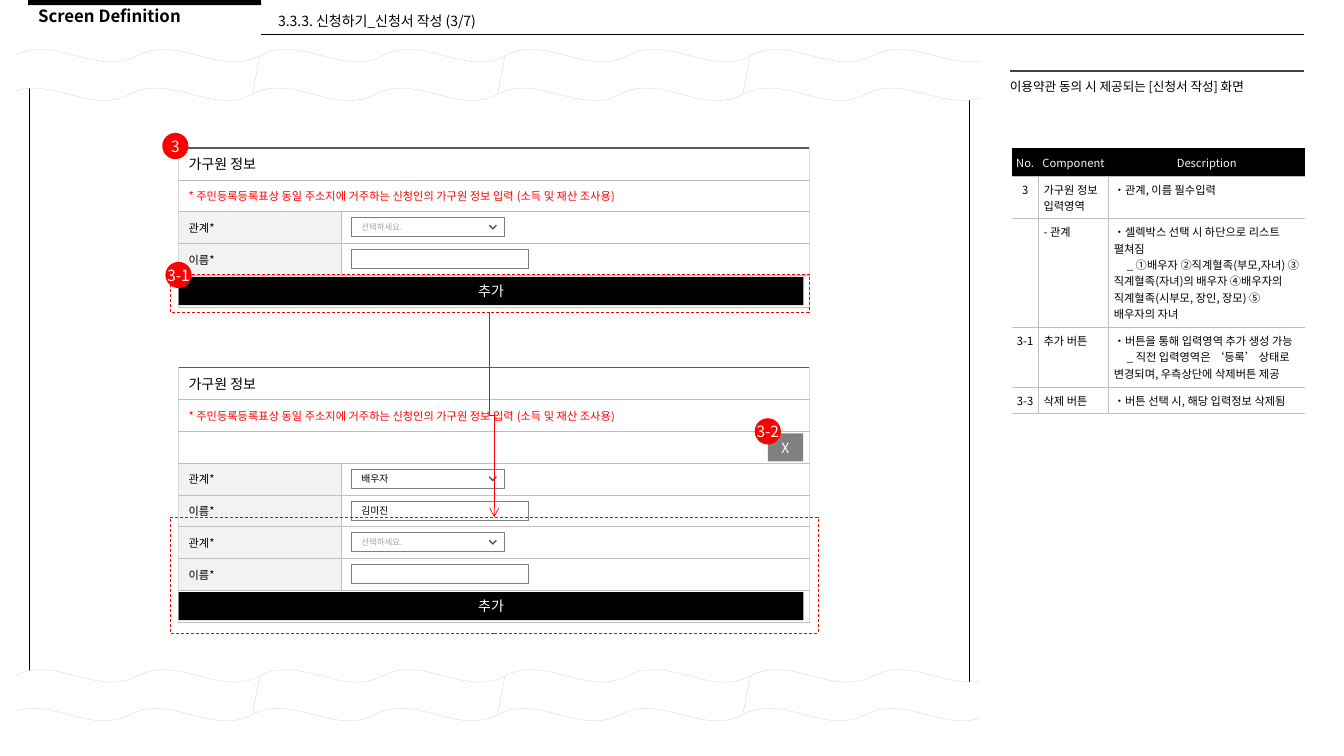
from lxml import etree
from pptx import Presentation
from pptx.dml.color import RGBColor
from pptx.enum.dml import MSO_LINE
from pptx.enum.shapes import MSO_CONNECTOR, MSO_SHAPE
from pptx.enum.text import MSO_ANCHOR, PP_ALIGN
from pptx.oxml.ns import qn
from pptx.util import Cm, Pt

RECT, OVAL, WAVE = MSO_SHAPE.RECTANGLE, MSO_SHAPE.OVAL, MSO_SHAPE.DOUBLE_WAVE
LEFT, MID = PP_ALIGN.LEFT, PP_ALIGN.CENTER
TOP, MIDDLE = MSO_ANCHOR.TOP, MSO_ANCHOR.MIDDLE
LINE, ELBOW = MSO_CONNECTOR.STRAIGHT, MSO_CONNECTOR.ELBOW
DASH = MSO_LINE.DASH
FONT = "Noto Sans CJK KR"
HUES = {"black": "000000", "white": "FFFFFF", "red": "FF0000", "dark": "404040",
        "slate": "595959", "gray": "808080", "hint": "A6A6A6", "rule": "BFBFBF",
        "pale": "D9D9D9", "label": "F2F2F2"}
RGB = {name: RGBColor.from_string(code) for name, code in HUES.items()}


def write(para, text, size, hue="black", align=LEFT, bold=False):
    para.text, para.alignment = text, align
    font = para.font
    font.size, font.bold, font.name = Pt(size), bold, FONT
    font.color.rgb = RGB[hue]
    etree.SubElement(font._element, qn("a:ea"), typeface=FONT)


def dress(cell, fill, edges):
    """Edges are (hue, points) for left, right, top and bottom."""
    props = cell._tc.get_or_add_tcPr()
    for side, (hue, width) in zip("LRTB", edges):
        line = etree.SubElement(props, qn("a:ln" + side), w=str(Pt(width)))
        if hue:
            paint = etree.SubElement(line, qn("a:solidFill"))
            etree.SubElement(paint, qn("a:srgbClr"), val=HUES[hue])
        else:
            etree.SubElement(line, qn("a:noFill"))
    if fill:
        cell.fill.solid()
        cell.fill.fore_color.rgb = RGB[fill]
    else:
        cell.fill.background()


deck = Presentation()
deck.slide_width, deck.slide_height = Cm(33.87), Cm(19.05)
slide = deck.slides.add_slide(deck.slide_layouts[6])
shapes = slide.shapes

# Header and note text
heads = [
    (0.71, 0.08, 5.87, 0.81, "Screen Definition", 12, True),
    (6.76, 0.23, 17.68, 0.66, "3.3.3. 신청하기_신청서 작성 (3/7)", 10, False),
    (25.45, 1.9, 7.39, 1.04, "이용약관 동의 시 제공되는 [신청서 작성] 화면", 9, False),
]
for x, y, w, h, text, size, bold in heads:
    frame = shapes.add_textbox(Cm(x), Cm(y), Cm(w), Cm(h)).text_frame
    frame.word_wrap = True
    if size == 9:
        frame.margin_left = frame.margin_right = 0
    write(frame.paragraphs[0], text, size, bold=bold)
    frame.paragraphs[0].line_spacing = 0.9

# Form tables: a two-column row has a label, a wide row has text or nothing
ROW, FORM_X, FIELD_X = 0.8, 4.5, 8.86
TITLE = "가구원 정보"
HINT = "* 주민등록등록표상 동일 주소지에 거주하는 신청인의 가구원 정보 입력 (소득 및 재산 조사용)"
KIN, NAME, PICK = "관계*", "이름*", "선택하세요."
forms = [
    (3.73, [TITLE, HINT, KIN, NAME, ""], {2: PICK, 3: ""}),
    (9.27, [TITLE, HINT, "", KIN, NAME, KIN, NAME, ""],
     {3: "배우자", 4: "김미진", 5: PICK, 6: ""}),
]
parts, arrows = [], []
for top, rows, fields in forms:
    grid = shapes.add_table(len(rows), 2, Cm(FORM_X), Cm(top), Cm(15.9),
                            Cm(ROW * len(rows))).table
    grid.columns[0].width, grid.columns[1].width = Cm(4.09), Cm(11.81)
    for r, text in enumerate(rows):
        paired = text in (KIN, NAME)
        upper = ("slate", 1) if r == 0 else ("rule", 0.25)
        inner = ("rule", 0.25)
        for c in range(2):
            cell = grid.cell(r, c)
            cell.vertical_anchor = MIDDLE
            write(cell.text_frame.paragraphs[0], "" if c else text,
                  10 if r == 0 else 8, "red" if r == 1 else "black")
            sides = [("pale", 0.5), inner] if c == 0 else [inner, ("pale", 0.5)]
            if not paired:
                sides = [("pale", 0.5)] * 2
            fill = "white" if not paired else None if c else "label"
            dress(cell, fill, sides + [upper, inner])
        if not paired:
            grid.cell(r, 0).merge(grid.cell(r, 1))
    for r, text in fields.items():
        y, choice = top + ROW * r + 0.15, rows[r] == KIN
        size, hue = (6, "hint") if text == PICK else (7, "black")
        parts.append((RECT, FIELD_X, y, 3.84 if choice else 4.45, 0.48,
                      "white", "gray", 0.25, text, size, hue, LEFT))
        if choice:
            arrows.append((FIELD_X + 3.46, y + 0.18))
    parts.append((RECT, FORM_X, top + ROW * (len(rows) - 1) + 0.05, 15.75, 0.71,
                  "black", None, 0, "추가", 10, "white", MID))

# Description table: the lines after a cell's first one are indented
notes = [
    ("No.", "Component", ["Description"]),
    ("3", "가구원 정보 입력영역", ["•관계, 이름 필수입력"]),
    ("", "- 관계", ["•셀렉박스 선택 시 하단으로 리스트 펼쳐짐",
                  "_ ①배우자 ②직계혈족(부모,자녀) ③직계혈족(자녀)의 배우자 "
                  "④배우자의 직계혈족(시부모, 장인, 장모) ⑤ 배우자의 자녀"]),
    ("3-1", "추가 버튼", ["•버튼을 통해 입력영역 추가 생성 가능",
                      "_ 직전 입력영역은 ‘등록’ 상태로 변경되며, 우측상단에 삭제버튼 제공"]),
    ("3-3", "삭제 버튼", ["•버튼 선택 시, 해당 입력정보 삭제됨"]),
]
grid = shapes.add_table(5, 3, Cm(25.5), Cm(3.73), Cm(7.39), Cm(6.68)).table
for c, width in enumerate([0.67, 1.77, 4.95]):
    grid.columns[c].width = Cm(width)
for r, height in enumerate([0.71, 1.07, 2.74, 1.5, 0.66]):
    grid.rows[r].height = Cm(height)
    for c, text in enumerate(notes[r]):
        cell = grid.cell(r, c)
        cell.vertical_anchor = TOP if r else MIDDLE
        cell.margin_top = cell.margin_bottom = Cm(0.13 if r else 0.1)
        cell.margin_left = cell.margin_right = Cm(0.13 if r and c else 0)
        frame = cell.text_frame
        for n, line in enumerate(text if c == 2 else [text]):
            para = frame.add_paragraph() if n else frame.paragraphs[0]
            write(para, line, 8, "black" if r else "label",
                  LEFT if r and c else MID)
            if n:
                para._p.get_or_add_pPr().set("indent", str(Cm(0.33)))
        wall = ("rule", 0.5) if r else ("black", 1)
        gap = (None, 0)
        dress(cell, "white" if r else "black",
              [wall if c else gap, wall if c < 2 else gap,
               ("rule", 0.5) if r else gap, ("rule", 0.5)])

# Page frame, torn edges and title bar
parts.append((RECT, 0.74, 1.8, 23.7, 15.62, None, "black", 1, "", 8, "black", MID))
for y in (1.24, 16.87):
    for n in range(4):
        parts.append((WAVE, 0.18 + 6.18 * n, y, 6.38, 1.3,
                      "white", "pale", 0.25, "", 8, "black", MID))
    for x in (24.69, 0):
        parts.append((RECT, x, y - 0.14, 0.41, 1.6,
                      "white", None, 0, "", 8, "black", MID))
parts.append((RECT, 0.71, 0, 5.87, 0.13, "black", None, 0, "", 8, "black", MID))

# Delete button, dashed areas and numbered badges
parts.append((RECT, 19.35, 10.92, 0.89, 0.71, "gray", None, 0, "X", 10, "white", MID))
for y, w, h in [(6.91, 16.1, 0.97), (13.03, 16.33, 2.92)]:
    parts.append((RECT, 4.29, y, w, h, None, "red", 0.5, "", 8, "black", MID))
for x, y, text in [(4.09, 3.35, "3"), (4.17, 6.6, "3-1"), (19.02, 10.54, "3-2")]:
    parts.append((OVAL, x, y, 0.66, 0.66, "red", None, 0, text, 11, "white", MID))

for kind, x, y, w, h, fill, edge, width, text, size, hue, align in parts:
    shape = shapes.add_shape(kind, Cm(x), Cm(y), Cm(w), Cm(h))
    shape.shadow.inherit = False
    if kind == WAVE:
        shape.adjustments[0], shape.adjustments[1] = 0.125, -0.015
    if fill:
        shape.fill.solid()
        shape.fill.fore_color.rgb = RGB[fill]
    else:
        shape.fill.background()
    if edge:
        shape.line.color.rgb, shape.line.width = RGB[edge], Pt(width)
        if edge == "red":
            shape.line.dash_style = DASH
    else:
        shape.line.fill.background()
    if text:
        frame = shape.text_frame
        frame.word_wrap = kind != OVAL
        frame.vertical_anchor = MIDDLE
        frame.margin_top = frame.margin_bottom = 0
        write(frame.paragraphs[0], text, size, hue, align)

# Select box arrows
for x, y in arrows:
    tips = [(0.18, 0), (0.1, 0.08), (0.02, 0), (0, 0.03), (0.1, 0.13), (0.2, 0.03)]
    spots = [(Cm(x + dx), Cm(y + dy)) for dx, dy in tips]
    pen = shapes.build_freeform(*spots[0])
    pen.add_line_segments(spots[1:], close=True)
    mark = pen.convert_to_shape()
    mark.shadow.inherit = False
    mark.fill.solid()
    mark.fill.fore_color.rgb = RGB["slate"]
    mark.line.fill.background()

# Rules, and the bent arrow from one dashed area to the other
links = [(LINE, 6.58, 0.86, 32.87, 0.86, "black", 0.5),
         (LINE, 25.45, 1.8, 32.87, 1.8, "dark", 1.5),
         (ELBOW, 14.97, 10.4, 9.82, 10.52, "red", 0.5)]
for kind, x1, y1, x2, y2, hue, width in links:
    link = shapes.add_connector(kind, Cm(x1), Cm(y1), Cm(x2), Cm(y2))
    link.line.color.rgb, link.line.width = RGB[hue], Pt(width)
    props = link._element.spPr
    if kind == ELBOW:
        props.find(qn("a:xfrm")).set("rot", "16200000")
        etree.SubElement(props.find(qn("a:ln")), qn("a:tailEnd"), type="arrow")
    etree.SubElement(props, qn("a:effectLst"))

deck.save("out.pptx")
